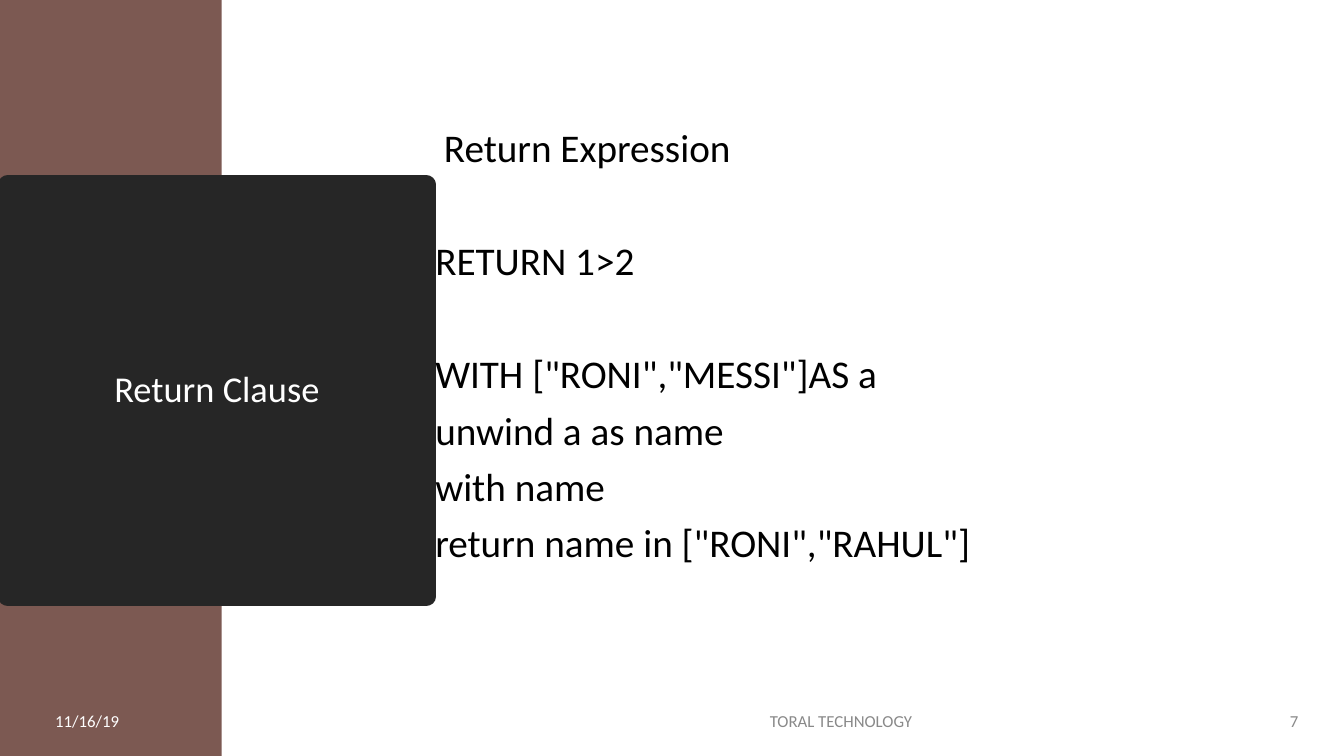
from pptx import Presentation
from pptx.dml.color import RGBColor
from pptx.enum.shapes import MSO_SHAPE
from pptx.enum.text import MSO_ANCHOR, PP_ALIGN
from pptx.util import Cm, Pt

RECT = MSO_SHAPE.RECTANGLE
LEFT, CENTER, RIGHT = PP_ALIGN.LEFT, PP_ALIGN.CENTER, PP_ALIGN.RIGHT
TOP, MIDDLE = MSO_ANCHOR.TOP, MSO_ANCHOR.MIDDLE


def color(value):
    return RGBColor.from_string(value)


class SlideBuilder:
    FONT = "Calibri"
    BROWN, DARK, WHITE, BLACK, GRAY = "7C5952", "262626", "FFFFFF", "000000", "898989"

    def __init__(self, prs):
        self.s = prs.slides.add_slide(prs.slide_layouts[6])

    def block(self, x, y, w, h, fill, border=0):
        sp = self.s.shapes.add_shape(RECT, Cm(x), Cm(y), Cm(w), Cm(h))
        sp.shadow.inherit = False
        sp.fill.solid()
        sp.fill.fore_color.rgb = color(fill)
        if border:
            sp.line.color.rgb = color(fill)
            sp.line.width = Pt(border)
        else:
            sp.line.fill.background()
        return sp

    def textbox(self, x, y, w, h, anchor=MIDDLE):
        tf = self.s.shapes.add_textbox(Cm(x), Cm(y), Cm(w), Cm(h)).text_frame
        tf.word_wrap = True
        tf.vertical_anchor = anchor
        return tf

    def add_text(self, p, text, size, ink, align=LEFT, spacing=1.0, before=0, indent=0):
        if indent:
            p._p.get_or_add_pPr().set("marL", str(Cm(indent)))
        p.alignment = align
        p.line_spacing = spacing
        p.space_before = Pt(before)
        r = p.add_run()
        r.text = text
        r.font.name = self.FONT
        r.font.size = Pt(size)
        r.font.color.rgb = color(ink)

    def title(self, text, x, y, w, h):
        tf = self.block(x, y, w, h, self.DARK, border=13.75).text_frame
        tf.word_wrap = True
        tf.vertical_anchor = MIDDLE
        self.add_text(tf.paragraphs[0], text, 26, self.WHITE, CENTER, 0.9)

    def body(self, lines, x, y, w, h):
        tf = self.textbox(x, y, w, h, TOP)
        for i, (text, before, indent) in enumerate(lines):
            p = tf.add_paragraph() if i else tf.paragraphs[0]
            self.add_text(p, text, 28, self.BLACK, LEFT, 0.9, before, indent)

    def footer(self, text, x, w, ink, align):
        tf = self.textbox(x, 17.65, w, 1.02)
        self.add_text(tf.paragraphs[0], text, 12, ink, align)


def main():
    prs = Presentation()
    prs.slide_width, prs.slide_height = Cm(33.87), Cm(19.05)
    b = SlideBuilder(prs)

    # Side band and title panel
    b.block(0, 0, 5.59, 19.05, b.BROWN)
    b.title("Return Clause", 0.2, 4.65, 10.54, 10.39)

    # Footer
    b.footer("11/16/19", 1.14, 4.11, b.WHITE, LEFT)
    b.footer("TORAL TECHNOLOGY", 11.43, 19.53, b.GRAY, CENTER)
    b.footer("7", 31.42, 1.55, b.GRAY, RIGHT)

    # Query examples: text, space before, indent
    near, far = 10, 50.5
    b.body([
        ("Return Expression", 0, 0.22),
        ("RETURN 1>2", far, 0),
        ('WITH ["RONI","MESSI"]AS a', far, 0),
        ("unwind a as name", near, 0),
        ("with name", near, 0),
        ('return name in ["RONI","RAHUL"]', near, 0),
    ], 10.72, 3.12, 22.25, 11.33)

    prs.save("out.pptx")


if __name__ == "__main__":
    main()
